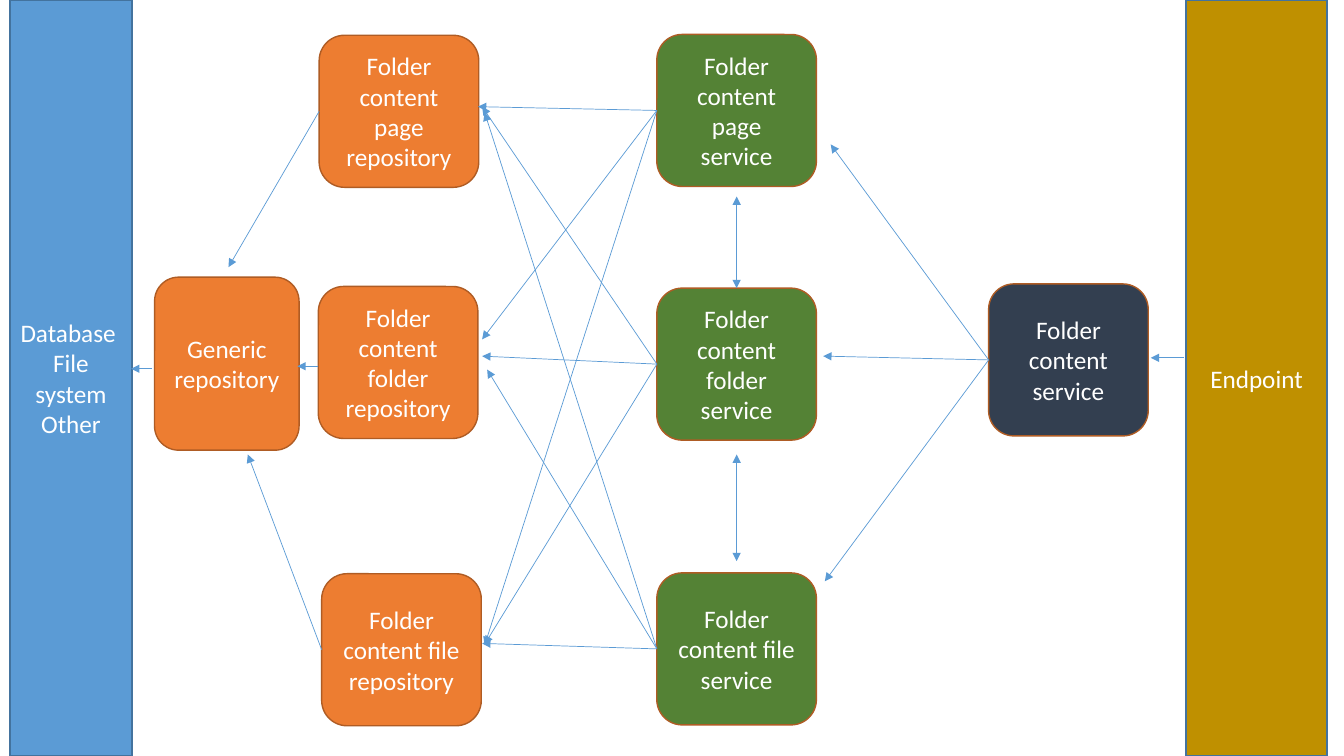
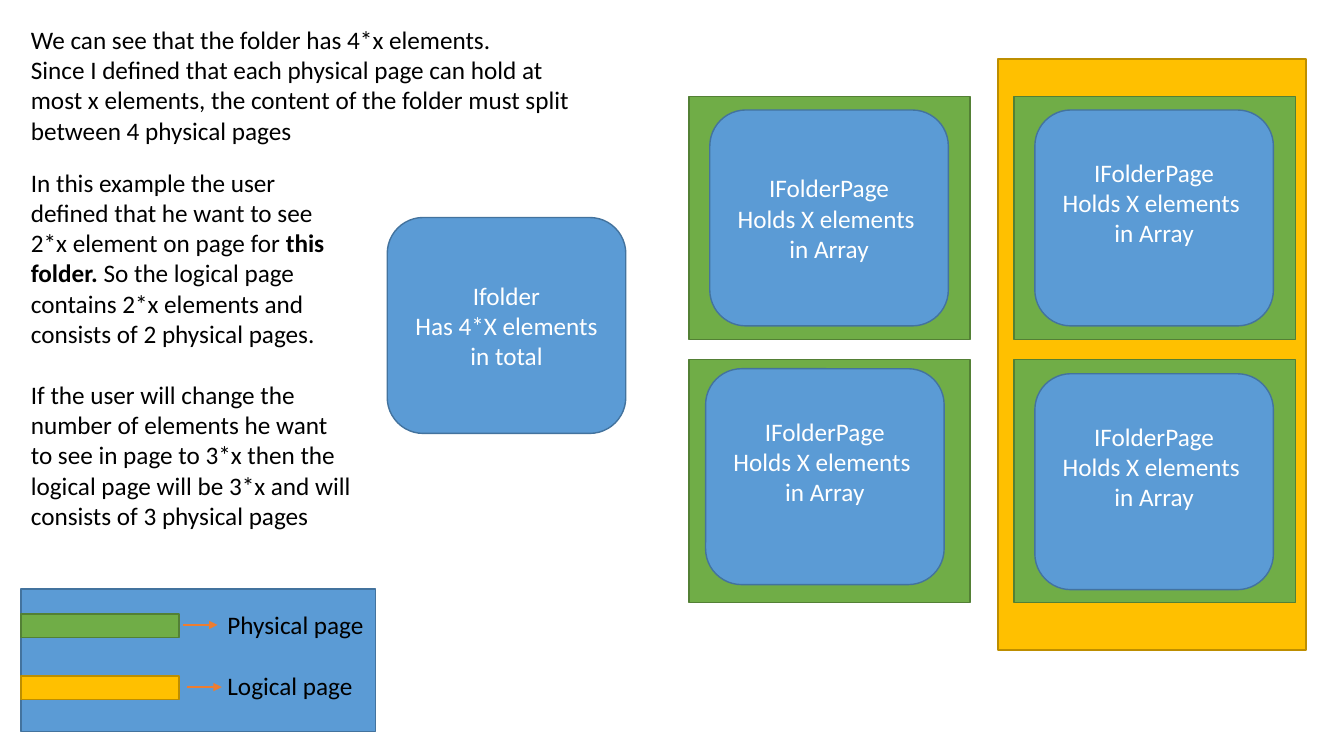
"""Build two slides on a folder service: its layers, and its physical and logical pages."""
from lxml import etree
from pptx import Presentation
from pptx.dml.color import RGBColor
from pptx.enum.shapes import MSO_CONNECTOR, MSO_SHAPE
from pptx.enum.text import MSO_ANCHOR, MSO_AUTO_SIZE, PP_ALIGN
from pptx.oxml.ns import qn
from pptx.util import Pt

RECTANGLE, ROUNDED = MSO_SHAPE.RECTANGLE, MSO_SHAPE.ROUNDED_RECTANGLE
STRAIGHT = MSO_CONNECTOR.STRAIGHT
MIDDLE, TOP = MSO_ANCHOR.MIDDLE, MSO_ANCHOR.TOP
CENTER, LEFT = PP_ALIGN.CENTER, PP_ALIGN.LEFT
GROW = MSO_AUTO_SIZE.SHAPE_TO_FIT_TEXT

WHITE = RGBColor(0xFF, 0xFF, 0xFF)
BLACK = RGBColor(0x00, 0x00, 0x00)
BLUE = RGBColor(0x5B, 0x9B, 0xD5)
BLUE_EDGE = RGBColor(0x43, 0x73, 0x9E)
ORANGE = RGBColor(0xED, 0x7D, 0x31)
ORANGE_EDGE = RGBColor(0xAF, 0x5C, 0x24)
GREEN = RGBColor(0x70, 0xAD, 0x47)
GREEN_EDGE = RGBColor(0x53, 0x80, 0x35)
GOLD = RGBColor(0xFF, 0xC0, 0x00)
GOLD_EDGE = RGBColor(0xBD, 0x8E, 0x00)
DARK_GREEN = RGBColor(0x54, 0x82, 0x35)
DARK_GOLD = RGBColor(0xBF, 0x90, 0x00)
NAVY = RGBColor(0x33, 0x3F, 0x50)

FONT, TEXT_SIZE, TEXT_LINE = "Calibri", Pt(18), Pt(22)
COLUMNS, ROWS, CELL = 160, 90, Pt(6)
LEFT_SITE = 1


def cells(*counts):
    """Turn counts of grid cells into lengths."""
    return [round(count * CELL) for count in counts]


class Deck:
    """Hold the style and the current slide."""

    def __init__(self):
        """Open an empty deck on the grid."""
        self.deck = Presentation()
        self.deck.slide_width, self.deck.slide_height = cells(COLUMNS, ROWS)
        self.slide = None

    def new_slide(self):
        """Start a blank slide."""
        self.slide = self.deck.slides.add_slide(self.deck.slide_layouts[6])

    def fill_text(self, frame, text, color, align, gap=0):
        """Set paragraphs run by run, with bold between double asterisks."""
        frame.word_wrap = True
        for number, wording in enumerate(text):
            paragraph = frame.add_paragraph() if number else frame.paragraphs[0]
            paragraph.alignment = align
            if number:
                paragraph.space_before = gap
            for row, line in enumerate(wording.split("\n")):
                if row:
                    paragraph.add_line_break()
                for part, piece in enumerate(line.split("**")):
                    run = paragraph.add_run()
                    run.text = piece
                    run.font.name, run.font.size = FONT, TEXT_SIZE
                    run.font.bold = part % 2 == 1
                    run.font.color.rgb = color

    def box(self, area, fill, edge, *text, kind=RECTANGLE, lift=0):
        """Add a filled shape with centred text, lifted if asked."""
        shape = self.slide.shapes.add_shape(kind, *cells(*area))
        shape.shadow.inherit = False
        shape.fill.solid()
        shape.fill.fore_color.rgb = fill
        shape.line.color.rgb = edge
        shape.line.width = Pt(1)
        frame = shape.text_frame
        frame.vertical_anchor = MIDDLE
        frame.margin_bottom += lift
        self.fill_text(frame, text, WHITE, CENTER)
        return shape

    def note(self, area, *text, gap=0):
        """Add plain black text."""
        frame = self.slide.shapes.add_textbox(*cells(*area)).text_frame
        frame.auto_size = GROW
        frame.vertical_anchor = TOP
        self.fill_text(frame, text, BLACK, LEFT, gap)

    def arrow(self, start, end, color=BLUE, width=0.5, both=False):
        """Add an arrow between two grid points."""
        line = self.slide.shapes.add_connector(STRAIGHT, *cells(*start, *end))
        line.line.color.rgb = color
        line.line.width = Pt(width)
        outline = line.line._get_or_add_ln()
        for tip in ("a:headEnd", "a:tailEnd") if both else ("a:tailEnd",):
            etree.SubElement(outline, qn(tip)).set("type", "triangle")
        etree.SubElement(line._element.spPr, qn("a:effectLst"))
        return line

    def calls(self, caller, *targets):
        """Lead arrows from the left side of a box to grid points."""
        for target in targets:
            self.arrow((0, 0), target).begin_connect(caller, LEFT_SITE)


def build_layers(deck):
    """Draw the layers from endpoint to storage."""
    deck.new_slide()
    deck.box((1.2, 0, 14.5, ROWS), BLUE, BLUE_EDGE, "Database ", "File system", "Other")
    deck.box((141.2, 0, 16.8, ROWS), DARK_GOLD, BLUE_EDGE, "Endpoint")

    def component(left, top, fill, name, width=19, height=18.1):
        return deck.box((left, top, width, height), fill, ORANGE_EDGE, name, kind=ROUNDED)

    component(18.4, 33, ORANGE, "Generic repository", 17.2, 20.6)
    front = component(117.7, 33.8, NAVY, "Folder content service")
    deck.calls(front, (98.9, 17.2), (98, 42.4), (98.2, 69.2))

    repositories = (
        ("page", 38, 4.2, (27.2, 31.8)),
        ("folder", 37.9, 34.1, None),
        ("file", 38.3, 68.3, (29.5, 54.1)),
    )
    for content, left, top, target in repositories:
        repository = component(left, top, ORANGE, f"Folder content {content} repository")
        if target:
            deck.calls(repository, target)

    services = (
        ("page", 4.1, ((56.9, 12.7), (57.4, 40.4), (57.7, 76.8))),
        ("folder", 34.3, ((57.4, 12.7), (57.4, 42.4), (57.7, 76.7))),
        ("file", 68.2, ((57.7, 13.4), (58, 44), (57.4, 76.6))),
    )
    for content, top, targets in services:
        service = component(78.2, top, DARK_GREEN, f"Folder content {content} service")
        deck.calls(service, *targets)

    for right, left, height in ((140.9, 137, 42.6), (37.9, 35.4, 43.6), (18.1, 15.6, 43.9)):
        deck.arrow((right, height), (left, height))
    for bottom, top in ((34.3, 23.4), (66.8, 54.1)):
        deck.arrow((87.7, bottom), (87.7, top), both=True)


def build_pages(deck):
    """Show how a folder splits into physical and logical pages."""
    deck.new_slide()
    deck.box((118.8, 7, 36.7, 70.4), GOLD, GOLD_EDGE)
    deck.box((46.1, 25.9, 28.4, 25.7), BLUE, BLUE_EDGE,
             "Ifolder", "Has 4*X elements in total", kind=ROUNDED)

    pages = (
        (82, 11.5, 84.5, 13.1, 0),
        (120.7, 11.5, 123.2, 13.1, TEXT_LINE),
        (82, 42.8, 84, 43.9, TEXT_LINE),
        (120.7, 42.8, 123.2, 44.5, TEXT_LINE),
    )
    for page_left, page_top, left, top, lift in pages:
        deck.box((page_left, page_top, 33.5, 28.9), GREEN, GREEN_EDGE)
        deck.box((left, top, 28.4, 25.7), BLUE, BLUE_EDGE, "IFolderPage",
                 "Holds X elements \nin Array", kind=ROUNDED, lift=lift)

    deck.box((2.5, 70.1, 42.2, 17), BLUE, BLUE_EDGE)
    legend = (
        ("Physical page", GREEN, GREEN_EDGE, 73.1, 72, 21.8, 74.4),
        ("Logical page", GOLD, GOLD_EDGE, 80.5, 79.2, 22.3, 81.8),
    )
    for name, fill, edge, bar_top, name_top, tip_left, tip_height in legend:
        deck.box((2.5, bar_top, 18.8, 2.8), fill, edge)
        deck.note((25.9, name_top, 21.1, 4.8), name)
        deck.arrow((tip_left, tip_height), (tip_left + 4.1, tip_height), ORANGE, 1.5)

    deck.note(
        (2.5, 2.3, 66.7, 15.7),
        "We can see that the folder has 4*x elements.",
        "Since I defined that each physical page can hold at most x elements, "
        "the content of the folder must split between 4 physical pages",
    )
    deck.note(
        (2.5, 19.3, 40.8, 44.9),
        "In this example the user defined that he want to see 2*x element on page for "
        "**this folder.** So the logical page contains 2*x elements and consists of "
        "2 physical pages.",
        "If the user will change the number of elements he want to see in page to 3*x "
        "then the logical page will be 3*x and will consists of 3 physical pages",
        gap=TEXT_LINE,
    )


folder_deck = Deck()
build_layers(folder_deck)
build_pages(folder_deck)
folder_deck.deck.save("out.pptx")
